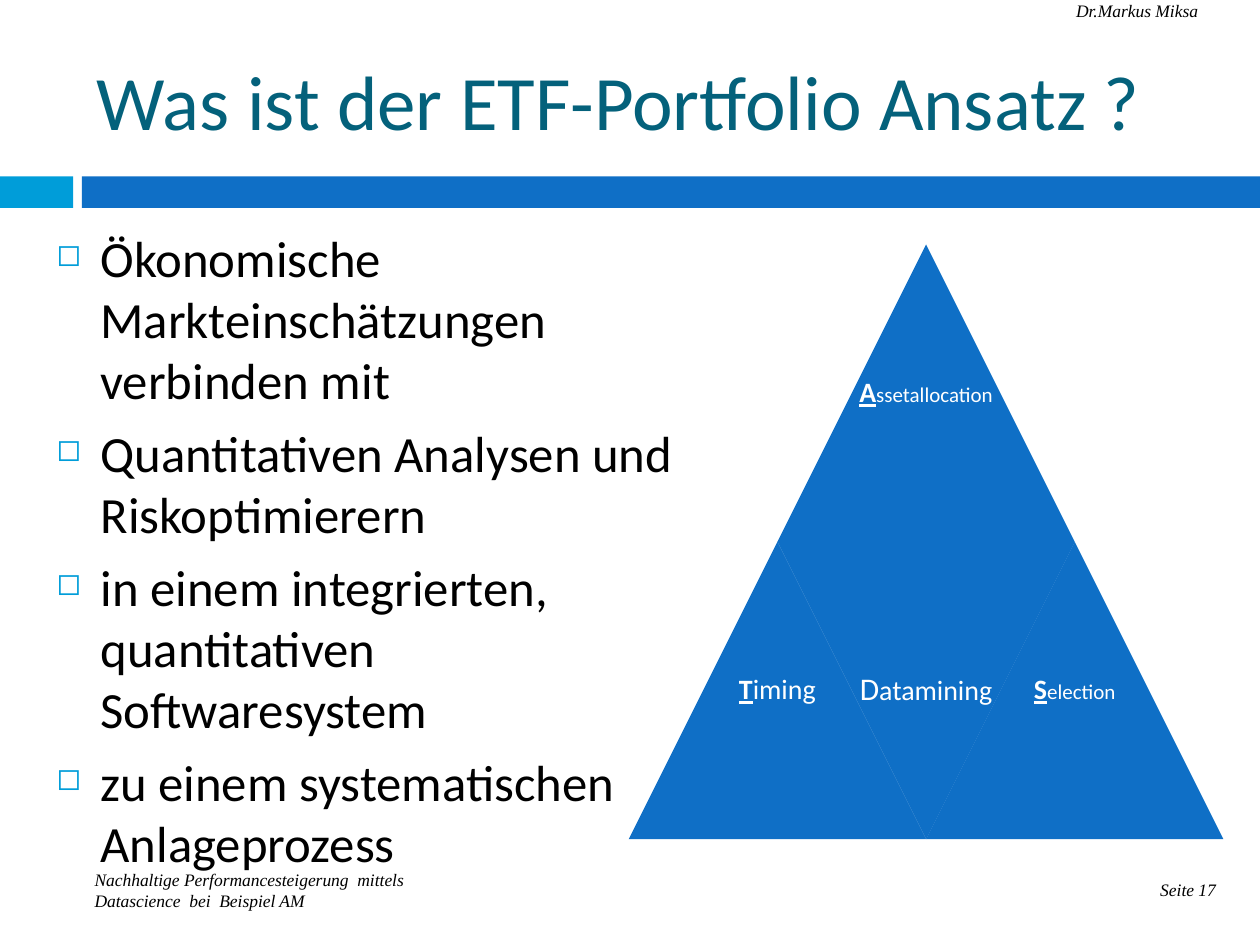
from lxml.etree import SubElement
from pptx import Presentation
from pptx.dml.color import RGBColor
from pptx.enum.shapes import MSO_SHAPE
from pptx.enum.text import MSO_ANCHOR, PP_ALIGN
from pptx.oxml.ns import qn
from pptx.util import Inches, Pt

TITLE = "Was ist der ETF-Portfolio Ansatz ?"
POINTS = [
    "Ökonomische Markteinschätzungen verbinden mit",
    "Quantitativen Analysen und Riskoptimierern",
    "in einem integrierten, quantitativen Softwaresystem",
    "zu einem systematischen Anlageprozess",
]
# text, (left, top, width, height), alignment
MARGIN_NOTES = [
    ("Nachhaltige Performancesteigerung  mittels Datascience  bei  Beispiel AM",
     (0.75, 6.9, 2.82, 0.34), PP_ALIGN.LEFT),
    ("Dr.Markus Miksa", (8.54, 0, 1.26, 0.34), PP_ALIGN.LEFT),
    ("Seite 17", (8.86, 6.98, 0.79, 0.34), PP_ALIGN.RIGHT),
]
# initial, rest, initial style, rest style, column in half triangles, row, rotation
TRIANGLES = [
    ("A", "ssetallocation", "initial", "label_small", 1, 0, 0),
    ("T", "iming", "initial", "label", 0, 1, 0),
    ("D", "atamining", "label_large", "label", 1, 1, 180),
    ("S", "election", "initial", "label_small", 2, 1, 0),
]
PYRAMID_LEFT, PYRAMID_TOP, SIDE = 4.99, 1.94, 2.36

BLUE, CYAN, TEAL, BLACK, WHITE = "0F6FC6", "009DD9", "04617B", "000000", "FFFFFF"
SANS, SERIF = "Calibri", "Times New Roman"
THEME = {
    "title": dict(name=SANS, size=44, color=TEAL),
    "body": dict(name=SANS, size=29, color=BLACK),
    "note": dict(name=SERIF, size=10, color=BLACK, italic=True),
    "initial": dict(name=SANS, size=16, color=WHITE, bold=True, underline=True),
    "label_large": dict(name=SANS, size=18, color=WHITE),
    "label": dict(name=SANS, size=16, color=WHITE),
    "label_small": dict(name=SANS, size=12, color=WHITE),
}


def add_filled(page, kind, area, color, rotation=0):
    shape = page.shapes.add_shape(kind, *map(Inches, area))
    shape.shadow.inherit = False
    shape.fill.solid()
    shape.fill.fore_color.rgb = RGBColor.from_string(color)
    shape.line.fill.background()
    shape.rotation = rotation


def add_frame(page, area, inset=None, wrap=True, anchor=MSO_ANCHOR.TOP):
    frame = page.shapes.add_textbox(*map(Inches, area)).text_frame
    frame.word_wrap = wrap
    frame.vertical_anchor = anchor
    if inset is not None:
        for side in ("left", "top", "right", "bottom"):
            setattr(frame, f"margin_{side}", Inches(inset))
    return frame


def add_span(para, text, style):
    span = para.add_run()
    span.text = text
    for key, value in THEME[style].items():
        if key == "color":
            span.font.color.rgb = RGBColor.from_string(value)
        else:
            setattr(span.font, key, Pt(value) if key == "size" else value)


def add_bullet(para):
    """Give the paragraph a hanging indent and a small hollow square."""
    properties = para._p.get_or_add_pPr()
    properties.set("marL", str(Inches(0.35)))
    properties.set("indent", str(-Inches(0.35)))
    color = SubElement(properties, qn("a:buClr"))
    SubElement(color, qn("a:srgbClr"), val=CYAN)
    SubElement(properties, qn("a:buSzPct"), val="60000")
    SubElement(properties, qn("a:buChar"), char="◻")


def main():
    deck = Presentation()
    deck.slide_width, deck.slide_height = Inches(10), Inches(7.5)
    page = deck.slides.add_slide(deck.slide_layouts[6])

    add_filled(page, MSO_SHAPE.RECTANGLE, (0, 1.4, 0.58, 0.25), CYAN)
    add_filled(page, MSO_SHAPE.RECTANGLE, (0.65, 1.4, 9.35, 0.25), BLUE)

    for text, area, alignment in MARGIN_NOTES:
        para = add_frame(page, area, inset=0, wrap=False).paragraphs[0]
        para.alignment = alignment
        add_span(para, text, "note")

    title = add_frame(page, (0.67, 0.25, 8.92, 1.08), anchor=MSO_ANCHOR.MIDDLE)
    add_span(title.paragraphs[0], TITLE, "title")

    body = add_frame(page, (0.35, 1.75, 5.2, 5.31))
    for index, text in enumerate(POINTS):
        para = body.add_paragraph() if index else body.paragraphs[0]
        para.space_before = Pt(7)
        add_bullet(para)
        add_span(para, text, "body")

    for initial, rest, initial_style, rest_style, column, row, rotation in TRIANGLES:
        area = (PYRAMID_LEFT + column * SIDE / 2, PYRAMID_TOP + row * SIDE, SIDE, SIDE)
        add_filled(page, MSO_SHAPE.ISOSCELES_TRIANGLE, area, BLUE, rotation)
        label = add_frame(page, area, inset=0.07, anchor=MSO_ANCHOR.MIDDLE)
        para = label.paragraphs[0]
        para.alignment = PP_ALIGN.CENTER
        para.line_spacing = 0.9
        add_span(para, initial, initial_style)
        add_span(para, rest, rest_style)

    deck.save("out.pptx")


if __name__ == "__main__":
    main()
